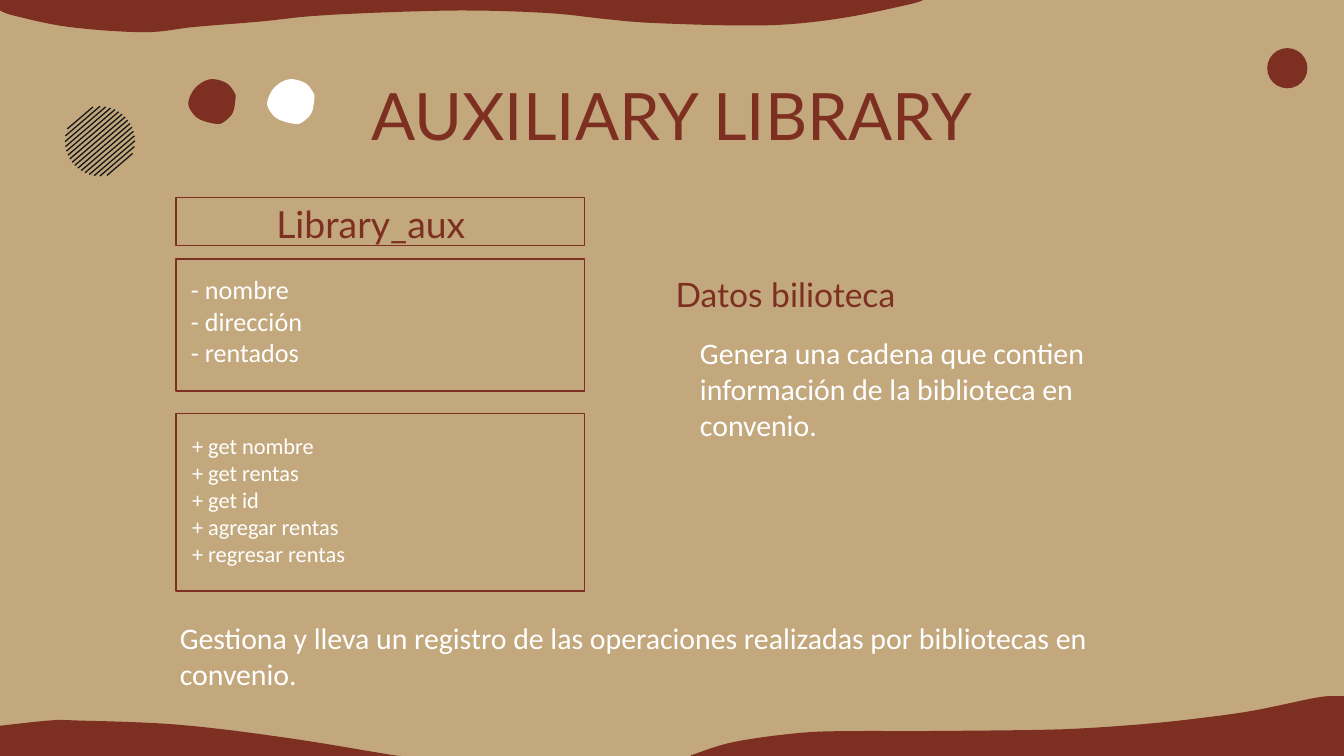
import math

import pptx
import pptx.dml.color
import pptx.enum.shapes
import pptx.enum.text
import pptx.util

Cm = pptx.util.Cm
ALIGN = pptx.enum.text.PP_ALIGN
SHAPE = pptx.enum.shapes.MSO_SHAPE

SAND, RUST, WHITE, INK = "C2A87C", "7D3021", "FFFFFF", "191919"
HEADING, BODY = "Lato", "Calibri"
WIDTH, HEIGHT = 25.4, 14.29

# Wave edges and blob outline, relative to their boxes
TOP_EDGE = [(0, 0.2), (0.28, 0.3), (1.3, 0.51), (2.72, 0.61), (3.68, 0.51),
            (4.9, 0.41), (5.97, 0.3), (7.42, 0.23), (8.92, 0.2),
            (10.39, 0.25), (11.43, 0.36), (12.24, 0.43), (13.77, 0.48),
            (14.91, 0.46), (16.05, 0.32), (17.2, 0.08), (17.45, 0)]
LEFT_EDGE = [(0, 0.1), (0.94, 0), (1.47, 0), (3.38, 0.08), (5.44, 0.33),
             (7.34, 0.64), (7.59, 0.67)]
RIGHT_EDGE = [(0, 1.13), (0.08, 1.09), (0.84, 0.86), (2.11, 0.69),
              (3.18, 0.66), (4.34, 0.66), (6.4, 0.64), (7.37, 0.61),
              (8.53, 0.53), (9.5, 0.43), (10.59, 0.28), (11.81, 0.03),
              (12.19, 0), (12.34, 0)]
BLOB = [(0.46, 0), (0.15, 0.19), (0, 0.52), (0.09, 0.76), (0.26, 0.91),
        (0.57, 1), (0.74, 0.97), (0.94, 0.76), (1, 0.45), (0.98, 0.3),
        (0.8, 0.08)]


def color(hex_text):
    return pptx.dml.color.RGBColor.from_string(hex_text)


def style(shape, fill=None, line=None):
    shape.shadow.inherit = False
    if fill:
        shape.fill.solid()
        shape.fill.fore_color.rgb = color(fill)
    else:
        shape.fill.background()
    if line:
        shape.line.color.rgb = color(line)
        shape.line.width = pptx.util.Pt(0.75)
    else:
        shape.line.fill.background()


def smooth(points, closed=False, steps=8):
    """Return points along a Catmull-Rom curve through the given ones."""
    if closed:
        knots = [points[-1], *points, points[0], points[1]]
    else:
        knots = [points[0], *points, points[-1]]
    curve = []
    for a, b, c, d in zip(knots, knots[1:], knots[2:], knots[3:]):
        for step in range(steps):
            t = step / steps
            curve.append(tuple(
                q + t / 2 * (r - p + t * (2 * p - 5 * q + 4 * r - s
                                          + t * (3 * q - p - 3 * r + s)))
                for p, q, r, s in zip(a, b, c, d)))
    return curve if closed else [*curve, points[-1]]


def add_outline(page, points, fill):
    corners = [(Cm(x), Cm(y)) for x, y in points]
    builder = page.shapes.build_freeform(*corners[0])
    builder.add_line_segments(corners[1:], close=True)
    style(builder.convert_to_shape(), fill)


def add_preset(page, kind, left, top, width, height, fill=None, line=None):
    shape = page.shapes.add_shape(kind, Cm(left), Cm(top), Cm(width), Cm(height))
    style(shape, fill, line)


def add_text(page, lines, left, top, width, height, *, size, font=BODY,
             ink=WHITE, align=ALIGN.LEFT):
    frame = page.shapes.add_textbox(
        Cm(left), Cm(top), Cm(width), Cm(height)).text_frame
    frame.word_wrap = True
    frame.vertical_anchor = pptx.enum.text.MSO_ANCHOR.MIDDLE
    frame.margin_left = frame.margin_right = 0
    frame.margin_top = frame.margin_bottom = 0
    for index, line in enumerate(lines):
        para = frame.add_paragraph() if index else frame.paragraphs[0]
        para.alignment = align
        span = para.add_run()
        span.text = line
        span.font.size = pptx.util.Pt(size)
        span.font.name = font
        span.font.color.rgb = color(ink)


def add_wave(page, left, top, edge, base):
    """Fill between a curved edge and the slide border at height base."""
    points = [(left + x, top + y) for x, y in smooth(edge)]
    add_outline(page, [*points, (points[-1][0], base), (left, base)], RUST)


def add_hatched_disc(page, left, top, size, count=16, gap=0.077, thickness=0.025):
    radius = size / 2
    along, across = (0.76, -0.65), (0.65, 0.76)
    for index in range(count):
        offset = (index - (count - 1) / 2) * gap
        half = math.sqrt(radius ** 2 - offset ** 2)
        corners = [(-half, -1), (half, -1), (half, 1), (-half, 1)]
        points = []
        for reach, side in corners:
            shift = offset + side * thickness / 2
            points.append((left + radius + reach * along[0] + shift * across[0],
                           top + radius + reach * along[1] + shift * across[1]))
        add_outline(page, points, INK)


def add_blob(page, left, top, width, height, fill):
    add_outline(page, [(left + x * width, top + y * height)
                       for x, y in smooth(BLOB, closed=True)], fill)


def add_backdrop(page, width, height):
    page.background.fill.solid()
    page.background.fill.fore_color.rgb = color(SAND)
    add_wave(page, 0, 0, TOP_EDGE, 0)
    add_wave(page, 0, height - 0.67, LEFT_EDGE, height)
    add_wave(page, width - 12.34, height - 1.13, RIGHT_EDGE, height)
    add_preset(page, SHAPE.OVAL, width - 1.45, 0.91, 0.76, 0.76, fill=RUST)
    add_hatched_disc(page, 1.23, 2.01, 1.32)


def add_header(page, left, top, width, height):
    add_text(page, ["AUXILIARY LIBRARY"], left, top, width, height,
             size=35, font=HEADING, ink=RUST, align=ALIGN.CENTER)
    for index, fill in enumerate([RUST, WHITE]):
        add_blob(page, left + 1.56 + index * 1.49, top, 0.89, 0.84, fill)


def add_class_diagram(page, left, top, width):
    # Frames for name, attributes and methods
    for offset, height in [(0, 0.91), (1.17, 2.49), (4.09, 3.35)]:
        add_preset(page, SHAPE.RECTANGLE, left, top + offset, width, height,
                   line=RUST)
    # Contents
    add_text(page, ["Library_aux"], left + 1.7, top + 0.1, 3.96, 0.81,
             size=20, font=HEADING, ink=RUST, align=ALIGN.CENTER)
    add_text(page, ["- nombre", "- dirección", "- rentados"],
             left + 0.28, top + 1.2, 7.16, 2.26, size=14)
    add_text(page, ["+ get nombre", "+ get rentas", "+ get id",
                    "+ agregar rentas", "+ regresar rentas"],
             left + 0.3, top + 4.47, 6.1, 2.49, size=12)


def add_description(page, left, top, width):
    add_text(page, ["Datos bilioteca"], left, top, 6.07, 1.4,
             size=18, font=HEADING, ink=RUST, align=ALIGN.CENTER)
    add_text(page, ["Genera una cadena que contien información de la "
                    "biblioteca en convenio."],
             left + 1.42, top + 1.25, width - 1.42, 2.49, size=16)


def main():
    deck = pptx.Presentation()
    deck.slide_width, deck.slide_height = Cm(WIDTH), Cm(HEIGHT)
    page = deck.slides.add_slide(deck.slide_layouts[6])
    add_backdrop(page, WIDTH, HEIGHT)
    add_header(page, 2, 1.5, 21.41, 1.32)
    add_class_diagram(page, 3.33, 3.73, 7.72)
    add_description(page, 11.81, 4.85, 9.93)
    # Summary line
    add_text(page, ["Gestiona y lleva un registro de las operaciones "
                    "realizadas por bibliotecas en convenio."],
             3.4, 11.61, 18.62, 1.55, size=16)
    deck.save("out.pptx")


if __name__ == "__main__":
    main()
